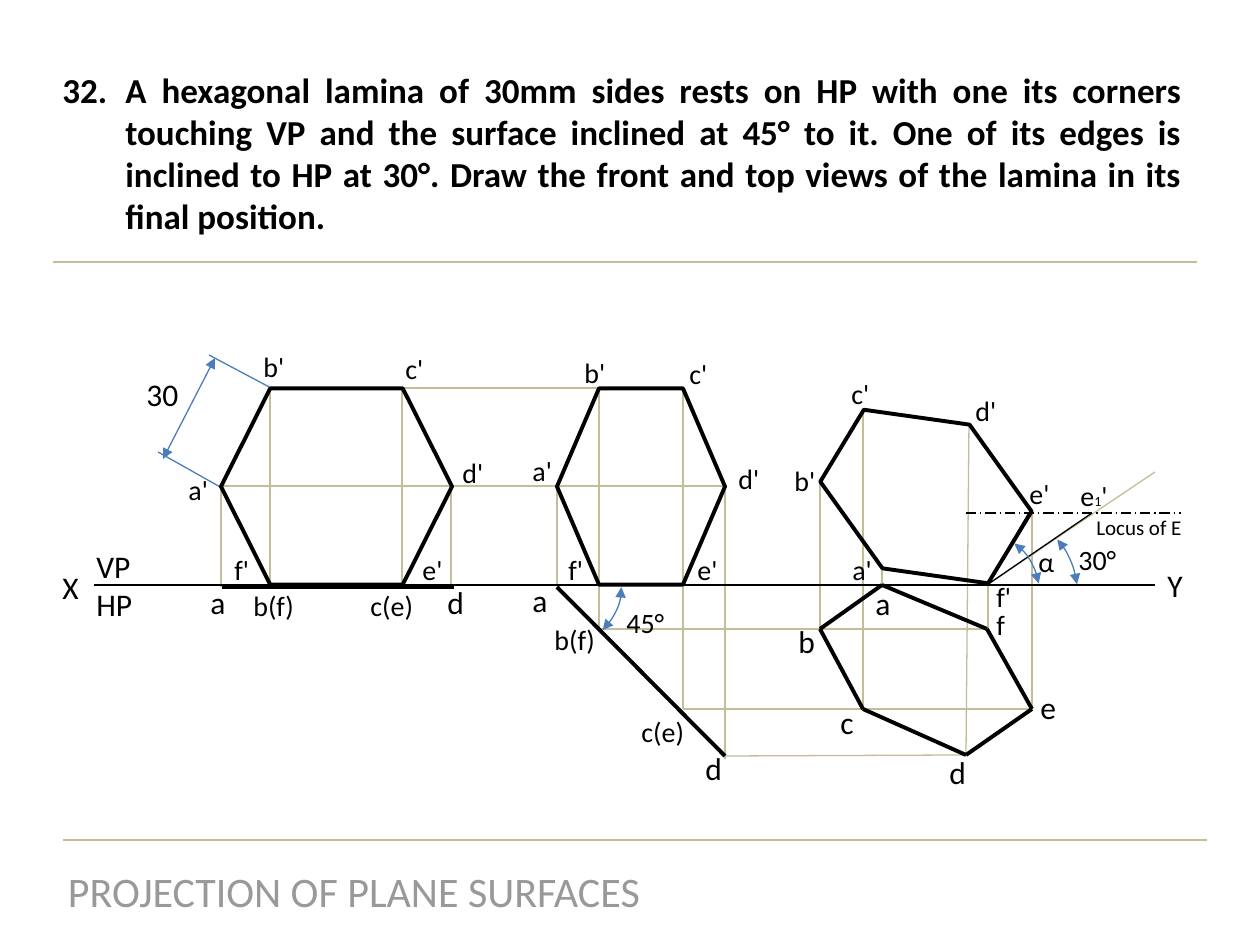
from typing import NamedTuple

import pptx
import pptx.dml.color
import pptx.enum.dml
import pptx.enum.shapes
import pptx.enum.text
import pptx.oxml.ns
import pptx.util
from lxml import etree

SCALE = 914400 / 126
FONT = "Calibri"
COLORS = {"ink": "000000", "guide": "C4BD97", "dim": "4A7DBB", "footer": "999999"}
SHAPES = pptx.enum.shapes.MSO_SHAPE
ALIGN = pptx.enum.text.PP_ALIGN
LABEL_HEIGHT = {12: 38, 16: 47, 18: 50}


class Line(NamedTuple):
    x1: int
    y1: int
    x2: int
    y2: int
    color: str = "guide"
    width: float = 0.75
    arrows: bool = False
    dash: bool = False


class Outline(NamedTuple):
    kind: int
    x: int
    y: int
    w: int
    h: int
    rotation: float
    adjustments: tuple
    color: str
    width: float
    arrows: bool = False


class Label(NamedTuple):
    text: str
    x: int
    y: int
    w: int = 46
    size: int = 16


def px(n: float) -> int:
    return round(n * SCALE)


def rgb(name: str):
    return pptx.dml.color.RGBColor.from_string(COLORS[name])


def style_line(sp, spec_line) -> None:
    sp.line.color.rgb = rgb(spec_line.color)
    sp.line.width = pptx.util.Pt(spec_line.width)
    if spec_line.arrows:
        ln = sp.line._get_or_add_ln()
        for end in ("a:headEnd", "a:tailEnd"):
            etree.SubElement(ln, pptx.oxml.ns.qn(end), type="triangle")


def draw_line(s, line: Line):
    sp = s.shapes.add_connector(
        pptx.enum.shapes.MSO_CONNECTOR.STRAIGHT, *map(px, line[:4]))
    if line.dash:
        sp.line.dash_style = pptx.enum.dml.MSO_LINE.LONG_DASH_DOT
    style_line(sp, line)
    etree.SubElement(sp._element.spPr, pptx.oxml.ns.qn("a:effectLst"))
    return sp


def draw_outline(s, outline: Outline) -> None:
    sp = s.shapes.add_shape(outline.kind, *map(px, outline[1:5]))
    sp.rotation = outline.rotation
    for i, value in enumerate(outline.adjustments):
        sp.adjustments[i] = value
    sp.fill.background()
    sp.shadow.inherit = False
    style_line(sp, outline)


def add_run(p, text: str, size: int, color: str = "ink", bold: bool = False) -> None:
    r = p.add_run()
    r.text = text
    r.font.name = FONT
    r.font.size = pptx.util.Pt(size)
    r.font.bold = bold
    r.font.color.rgb = rgb(color)


def add_box(s, x: int, y: int, w: int, h: int, wrap: bool = False):
    sp = s.shapes.add_textbox(px(x), px(y), px(w), px(h))
    sp.text_frame.word_wrap = wrap
    return sp


def draw_label(s, label: Label):
    sp = add_box(s, label.x, label.y, label.w, LABEL_HEIGHT[label.size])
    add_run(sp.text_frame.paragraphs[0], label.text, label.size)
    return sp


def draw_question(s) -> None:
    p = add_box(s, 50, 62, 1144, 183, wrap=True).text_frame.paragraphs[0]
    p.alignment = ALIGN.JUSTIFY
    pPr = p._p.get_or_add_pPr()
    pPr.set("marL", str(px(63)))
    pPr.set("indent", str(-px(63)))
    etree.SubElement(pPr, pptx.oxml.ns.qn("a:buAutoNum"),
                     type="arabicPeriod", startAt="32")
    add_run(p, "A hexagonal lamina of 30mm sides rests on HP with one its corners "
               "touching VP and the surface inclined at 45° to it. One of its edges "
               "is inclined to HP at 30°. Draw the front and top views of the lamina "
               "in its final position.", 20, bold=True)


TOP, MID, XY = 388, 486, 585
FINAL_TOP_VIEW = [(882, XY), (820, 629), (863, 709), (966, 755), (1032, 709), (987, 629)]

RULES = [Line(1207, 840, 63, 840), Line(1197, 262, 53, 262)]
GUIDES = [
    Line(402, TOP, 683, TOP), Line(221, MID, 725, MID),
    Line(221, 587, 221, MID), Line(270, XY, 270, TOP),
    Line(402, XY, 402, TOP), Line(451, XY, 451, MID),
    Line(557, XY, 557, MID), Line(599, 629, 599, TOP),
    Line(683, 709, 683, TOP), Line(725, 759, 725, MID),
    Line(987, XY, 1155, 472), Line(820, 630, 820, 481),
    Line(863, 709, 863, 410), Line(882, XY, 882, 570),
    Line(966, 755, 969, 426), Line(988, 630, 988, XY),
    Line(1032, 709, 1032, 513), Line(599, 629, 988, 629),
    Line(683, 709, 1032, 709), Line(725, 756, 966, 755),
]
DIMENSION = [
    Line(215, 358, 163, 459, "dim", arrows=True),
    Line(209, 355, 273, 389, "dim"), Line(158, 452, 222, 488, "dim"),
]
LOCUS = [
    Line(987, XY, 1092, 513, "ink"), Line(987, 584, 1029, 513, "ink"),
    Line(966, 513, 1181, 513, "ink", dash=True),
]
EDGES = [Line(454, 587, 222, 587, "ink", 2.25), Line(725, 756, 557, 587, "ink", 2.25)]
EDGES += [Line(*start, *end, "ink", 2.25) for start, end in
          zip(FINAL_TOP_VIEW, FINAL_TOP_VIEW[1:] + FINAL_TOP_VIEW[:1])]

HEXAGONS = [
    Outline(SHAPES.HEXAGON, x, y, w, 197, turn, (0.25, 1.15), "ink", 2.25)
    for x, y, w, turn in [(221, TOP, 231, 0), (557, TOP, 168, 0), (842, 398, 168, 301.2)]
]
ARCS = [
    Outline(SHAPES.ARC, *place, turn, adj, "dim", 0.75, True)
    for place, turn, adj in [
        ((527, 546, 84, 116), 51.4, (174.47, 207.88)),
        ((956, 538, 84, 116), 356.5, (174.47, 207.88)),
        ((982, 525, 96, 141), 356.5, (179.73, 210.01)),
    ]
]
LABELS = [
    Label("X", 50, 562, 42, 18), Label("30", 134, 369, 58, 18),
    Label("a'", 176, 466), Label("b'", 251, 343), Label("c'", 393, 345),
    Label("d'", 450, 449), Label("e'", 410, 546), Label("f'", 222, 546),
    Label("a", 198, 577, 43, 18), Label("b(f)", 241, 582, 67),
    Label("c(e)", 358, 582, 69), Label("d", 435, 577, 43, 18),
    Label("a'", 520, 447), Label("b'", 572, 349), Label("c'", 677, 350),
    Label("d'", 726, 455), Label("e'", 685, 546), Label("f'", 556, 546),
    Label("a", 520, 575, 43, 18), Label("b(f)", 542, 616, 67),
    Label("c(e)", 629, 708, 69), Label("d", 693, 743, 43, 18),
    Label("45°", 614, 599, 68),
    Label("a'", 840, 546), Label("b'", 782, 457), Label("c'", 839, 370),
    Label("d'", 963, 387), Label("e'", 1017, 470), Label("f'", 984, 573),
    Label("a", 863, 578, 43, 18), Label("b", 786, 616, 43, 18),
    Label("c", 828, 697, 43, 18), Label("d", 937, 747, 43, 18),
    Label("e", 1028, 682, 43, 18), Label("f", 984, 601),
    Label("Locus of E", 1084, 508, 112, 12),
    Label("30°", 1066, 536, 68), Label("α", 1026, 538, 42),
]


def main() -> None:
    prs = pptx.Presentation()
    prs.slide_width, prs.slide_height = px(1260), px(945)
    s = prs.slides.add_slide(prs.slide_layouts[6])

    draw_question(s)
    for line in RULES + GUIDES + DIMENSION + LOCUS:
        draw_line(s, line)
    for outline in HEXAGONS + ARCS:
        draw_outline(s, outline)
    for line in EDGES:
        draw_line(s, line)
    for label in LABELS:
        draw_label(s, label)

    y_label = draw_label(s, Label("Y", 1155, 560, 40, 18))
    xy_line = draw_line(s, Line(1155, XY, 94, XY, "ink"))
    xy_line.begin_connect(y_label, 1)

    tf = add_box(s, 84, 541, 62, 89).text_frame
    add_run(tf.paragraphs[0], "VP", 18)
    add_run(tf.add_paragraph(), "HP", 18)

    p = add_box(s, 1068, 472, 53, 47).text_frame.paragraphs[0]
    for text, size in [("e", 16), ("1", 8), ("'", 16)]:
        add_run(p, text, size)

    p = add_box(s, 53, 859, 602, 63).text_frame.paragraphs[0]
    p.alignment = ALIGN.CENTER
    add_run(p, "PROJECTION OF PLANE SURFACES", 24, "footer")

    prs.save("out.pptx")


if __name__ == "__main__":
    main()
